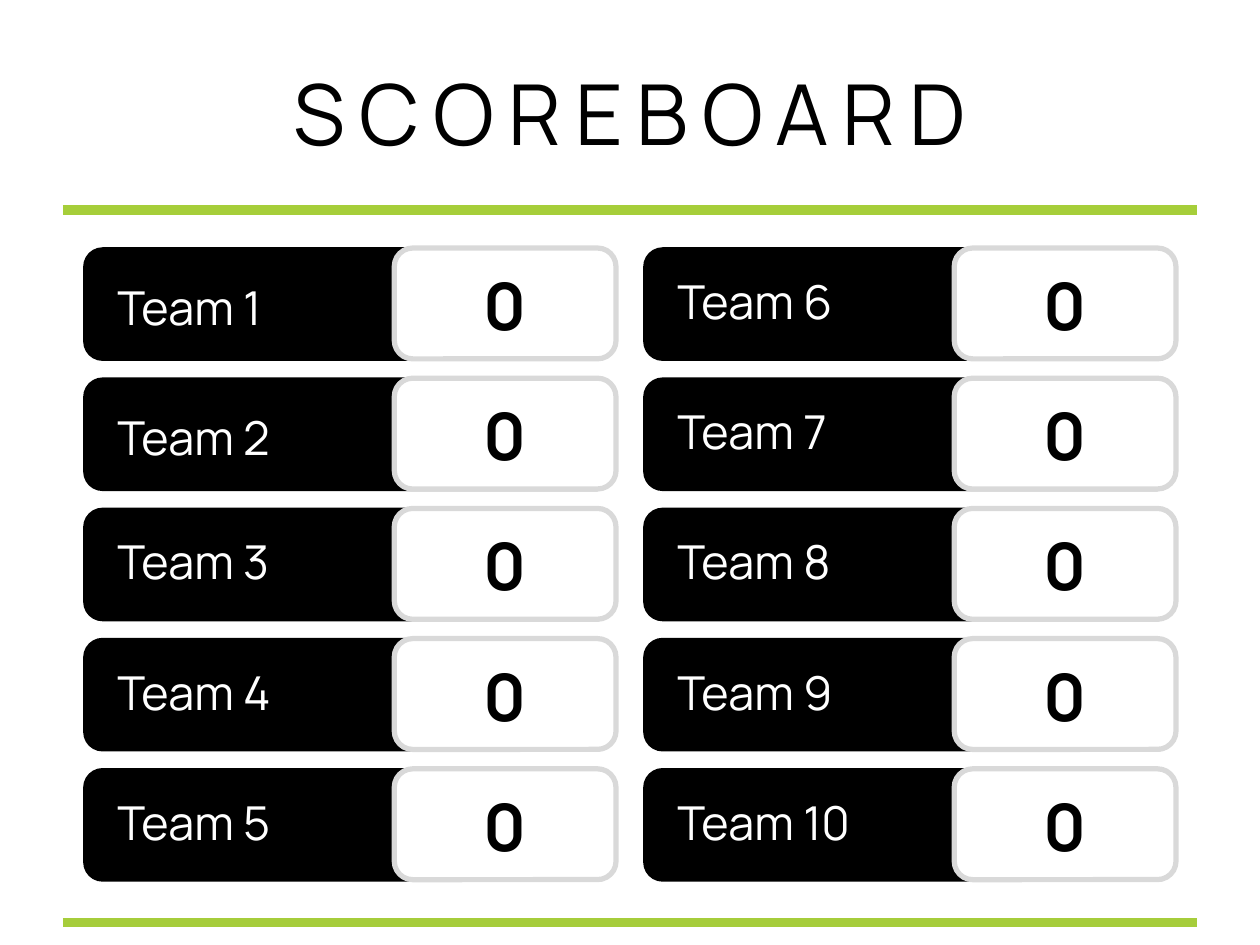
from dataclasses import dataclass

from lxml.etree import SubElement
from pptx import Presentation
from pptx.dml.color import RGBColor
from pptx.enum.shapes import MSO_CONNECTOR as Connector, MSO_SHAPE as Shape
from pptx.enum.text import MSO_ANCHOR as Anchor, PP_ALIGN as Align
from pptx.oxml.ns import qn
from pptx.util import Inches, Length, Pt

GRID_COLUMNS = 45
FONT = "Manrope"
BLACK, WHITE, GRAY = "000000", "FFFFFF", "D9D9D9"
TEAMS_PER_COLUMN = 5
CARD_LEFT, CARD_TOP = 3, 8.86
CARD_STEP_X, CARD_STEP_Y = 20, 4.65

presentation = Presentation()
presentation.slide_width = Inches(7.5)
presentation.slide_height = presentation.slide_width * 3 // 4
slide = presentation.slides.add_slide(presentation.slide_layouts[6])


@dataclass(frozen=True)
class Box:
    left: float
    top: float
    width: float
    height: float


@dataclass(frozen=True)
class TextStyle:
    size: float
    color: str
    align: Align
    anchor: Anchor
    bold: bool = False


@dataclass(frozen=True)
class Rule:
    row: float
    color: str


@dataclass(frozen=True)
class Team:
    name: str
    score: str
    column: int
    row: int
    label_drop: float


TITLE = TextStyle(36, BLACK, Align.CENTER, Anchor.TOP)
LABEL = TextStyle(20, WHITE, Align.LEFT, Anchor.MIDDLE)
SCORE = TextStyle(28, BLACK, Align.CENTER, Anchor.BOTTOM, True)


def grid(units: float) -> Length:
    return Length(round(presentation.slide_width * units / GRID_COLUMNS))


def place(box: Box) -> tuple[Length, ...]:
    return grid(box.left), grid(box.top), grid(box.width), grid(box.height)


def color(value: str) -> RGBColor:
    return RGBColor.from_string(value)


def write(shape, text: str, style: TextStyle) -> None:
    frame = shape.text_frame
    frame.vertical_anchor = style.anchor
    paragraph = frame.paragraphs[0]
    paragraph.text = text
    paragraph.alignment = style.align
    paragraph.line_spacing = 0.93
    font = paragraph.font
    font.name, font.size, font.bold = FONT, Pt(style.size), style.bold
    font.color.rgb = color(style.color)


def add_text(box: Box, text: str, style: TextStyle):
    shape = slide.shapes.add_textbox(*place(box))
    shape.text_frame.word_wrap = False
    write(shape, text, style)
    return shape


def add_title(text: str) -> None:
    frame = add_text(Box(10, 2.22, 25, 4), text, TITLE).text_frame
    frame.margin_left = frame.margin_right = 0
    run = frame.paragraphs[0].runs[0]
    run._r.get_or_add_rPr().set("spc", "600")


def add_panel(box: Box, fill: str, line: str, weight: float):
    shape = slide.shapes.add_shape(Shape.ROUNDED_RECTANGLE, *place(box))
    shape.shadow.inherit = False
    shape.fill.solid()
    shape.fill.fore_color.rgb = color(fill)
    shape.line.color.rgb = color(line)
    shape.line.width = Pt(weight)
    return shape


def add_rule(rule: Rule) -> None:
    connector = slide.shapes.add_connector(
        Connector.STRAIGHT, grid(2.25), grid(rule.row), grid(42.75), grid(rule.row)
    )
    connector.line.color.rgb = color(rule.color)
    connector.line.width = Pt(4)
    SubElement(connector._element.spPr, qn("a:effectLst"))


def add_team(team: Team) -> None:
    left = CARD_LEFT + team.column * CARD_STEP_X
    top = CARD_TOP + team.row * CARD_STEP_Y
    add_panel(Box(left, top, 19, 4), BLACK, BLACK, 0.75)
    add_text(Box(left + 0.6, top + team.label_drop, 7.5, 2.4), team.name, LABEL)
    score = add_panel(Box(left + 11.08, top, 7.92, 3.96), WHITE, GRAY, 2.25)
    write(score, team.score, SCORE)


teams = [
    Team(
        name=f"Team {index + 1}",
        score="0",
        column=index // TEAMS_PER_COLUMN,
        row=index % TEAMS_PER_COLUMN,
        label_drop=1.0 if index < 2 else 0.8,
    )
    for index in range(2 * TEAMS_PER_COLUMN)
]

for rule in (Rule(32.95, "A6CD3B"), Rule(7.5, "A6CE3A")):
    add_rule(rule)
for team in teams:
    add_team(team)
add_title("SCOREBOARD")

presentation.save("out.pptx")
